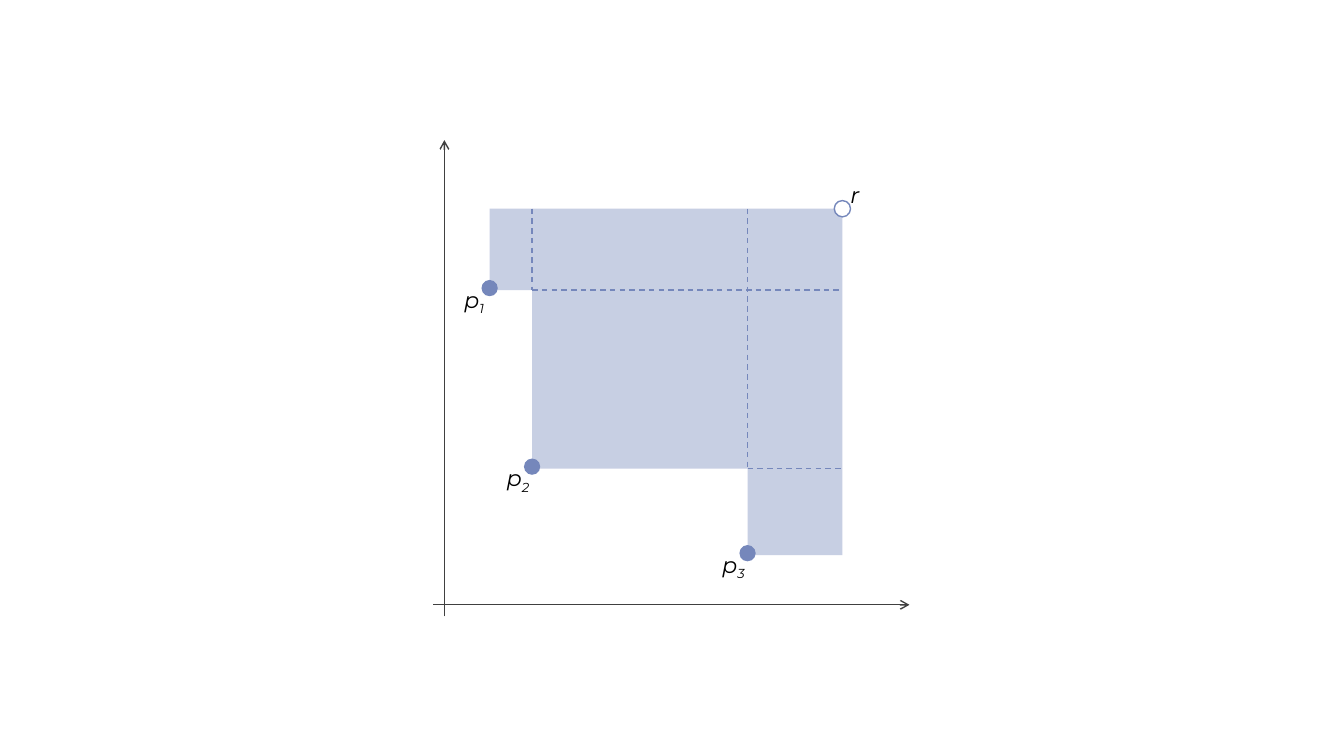
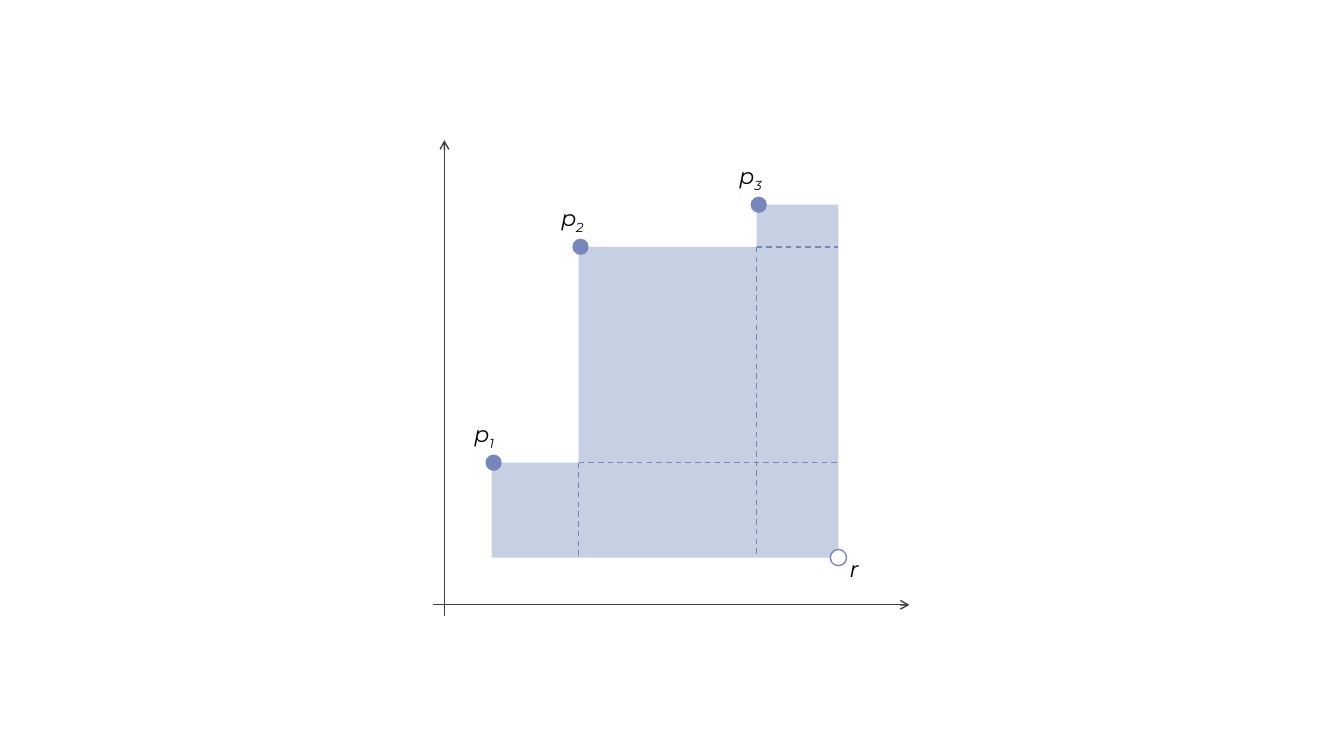
from itertools import pairwise

from pptx import Presentation
from pptx.dml.color import RGBColor
from pptx.enum.dml import MSO_LINE
from pptx.enum.shapes import MSO_CONNECTOR, MSO_SHAPE
from pptx.enum.text import MSO_AUTO_SIZE
from pptx.oxml.ns import qn
from pptx.oxml.xmlchemy import OxmlElement
from pptx.util import Cm, Pt

BLUE, GREY, WHITE, BLACK = "7587BB", "404040", "FFFFFF", "000000"
FONT = "Montserrat"
PLOT_LEFT, PLOT_TOP, PLOT_SIZE = 10.92, 3.53, 12
AXIS_X, AXIS_Y = 0.28, 11.71
DOT_SIZE = 0.41
LABEL_HEIGHT = 0.94

MINIMISED = {
    "points": [(1.42, 3.78), (2.49, 8.28), (7.92, 10.46)],
    "reference": (10.31, 1.73),
    "dot_shift": (0, -0.05),
    "point_label_shift": (-0.89, -0.23),
    "reference_label_shift": (-0.05, -0.81),
}
MAXIMISED = {
    "points": [(1.47, 8.13), (3.66, 2.69), (8.15, 1.63)],
    "reference": (10.21, 10.52),
    "dot_shift": (0.05, 0),
    "point_label_shift": (-0.69, -1.19),
    "reference_label_shift": (0.03, -0.18),
}


def colour(hex_code):
    """Turn a hex string into a colour."""
    return RGBColor.from_string(hex_code)


def shifted(position, shift):
    """Move a position by a shift."""
    return position[0] + shift[0], position[1] + shift[1]


def add_line(shapes, start, end, hex_code, dashed=False, arrow=False):
    """Draw a straight line, dashed or with an arrowhead at its end."""
    line = shapes.add_connector(MSO_CONNECTOR.STRAIGHT, *map(Cm, start + end))
    line.line.color.rgb = colour(hex_code)
    line.line.width = Pt(1)
    if dashed:
        line.line.dash_style = MSO_LINE.DASH
    properties = line._element.spPr
    if arrow:
        head = OxmlElement("a:tailEnd")
        head.set("type", "arrow")
        properties.find(qn("a:ln")).append(head)
    properties.append(OxmlElement("a:effectLst"))


def add_axes(shapes, left, top, size):
    """Draw the two arrowed axes across a square plot."""
    x, y = left + AXIS_X, top + AXIS_Y
    add_line(shapes, (x, top + size), (x, top), GREY, arrow=True)
    add_line(shapes, (left, y), (left + size, y), GREY, arrow=True)


def add_dominated_area(shapes, points, reference):
    """Fill the staircase between the points and the reference."""
    outline = [(points[0][0], reference[1]), points[0]]
    for before, after in pairwise(points):
        outline += [(after[0], before[1]), after]
    outline += [(reference[0], points[-1][1]), reference]
    corners = [(Cm(x), Cm(y)) for x, y in outline]
    builder = shapes.build_freeform(*corners[0])
    builder.add_line_segments(corners[1:], close=True)
    area = builder.convert_to_shape()
    area.shadow.inherit = False
    area.fill.solid()
    area.fill.fore_color.rgb = colour(BLUE)
    area.line.fill.background()
    alpha = OxmlElement("a:alpha")
    alpha.set("val", "40000")
    area._element.spPr.find(qn("a:solidFill"))[0].append(alpha)


def add_divisions(shapes, points, reference):
    """Draw dashed lines from each inner corner to the far edges."""
    for before, after in pairwise(points):
        x, y = after[0], before[1]
        add_line(shapes, (x, y), (reference[0], y), BLUE, dashed=True)
        upper, lower = sorted((y, reference[1]))
        add_line(shapes, (x, upper), (x, lower), BLUE, dashed=True)


def add_dot(shapes, centre, hollow=False):
    """Draw a filled or hollow dot around its centre."""
    x, y = (value - DOT_SIZE / 2 for value in centre)
    dot = shapes.add_shape(MSO_SHAPE.OVAL, Cm(x), Cm(y), Cm(DOT_SIZE), Cm(DOT_SIZE))
    dot.shadow.inherit = False
    dot.fill.solid()
    dot.fill.fore_color.rgb = colour(WHITE if hollow else BLUE)
    if hollow:
        dot.line.color.rgb = colour(BLUE)
        dot.line.width = Pt(1)
    else:
        dot.line.fill.background()


def add_label(shapes, corner, width, letter, index=""):
    """Write an italic letter with an optional subscript."""
    x, y = corner
    label = shapes.add_textbox(Cm(x), Cm(y), Cm(width), Cm(LABEL_HEIGHT))
    label.text_frame.word_wrap = True
    label.text_frame.auto_size = MSO_AUTO_SIZE.SHAPE_TO_FIT_TEXT
    paragraph = label.text_frame.paragraphs[0]
    paragraph.text = letter
    if index:
        subscript = paragraph.add_run()
        subscript.text = index
        subscript._r.get_or_add_rPr().set("baseline", "-25000")
    for run in paragraph.runs:
        run.font.name = FONT
        run.font.size = Pt(16)
        run.font.italic = True
        run.font.color.rgb = colour(BLACK)


def add_hypervolume(shapes, left, top, size, front):
    """Draw axes, dominated area, points and labels in a square plot."""
    points = [shifted(point, (left, top)) for point in front["points"]]
    reference = shifted(front["reference"], (left, top))
    add_axes(shapes, left, top, size)
    add_dominated_area(shapes, points, reference)
    add_divisions(shapes, points, reference)
    for number, point in enumerate(points, 1):
        add_dot(shapes, shifted(point, front["dot_shift"]))
        corner = shifted(point, front["point_label_shift"])
        add_label(shapes, corner, 1.45, "p", str(number))
    add_dot(shapes, reference, hollow=True)
    add_label(shapes, shifted(reference, front["reference_label_shift"]), 1.04, "r")


def main():
    """Build one slide for each front."""
    presentation = Presentation()
    presentation.slide_width, presentation.slide_height = Cm(33.87), Cm(19.05)
    for front in (MINIMISED, MAXIMISED):
        slide = presentation.slides.add_slide(presentation.slide_layouts[6])
        plot = slide.shapes.add_group_shape()
        add_hypervolume(plot.shapes, PLOT_LEFT, PLOT_TOP, PLOT_SIZE, front)
    presentation.save("out.pptx")


if __name__ == "__main__":
    main()
